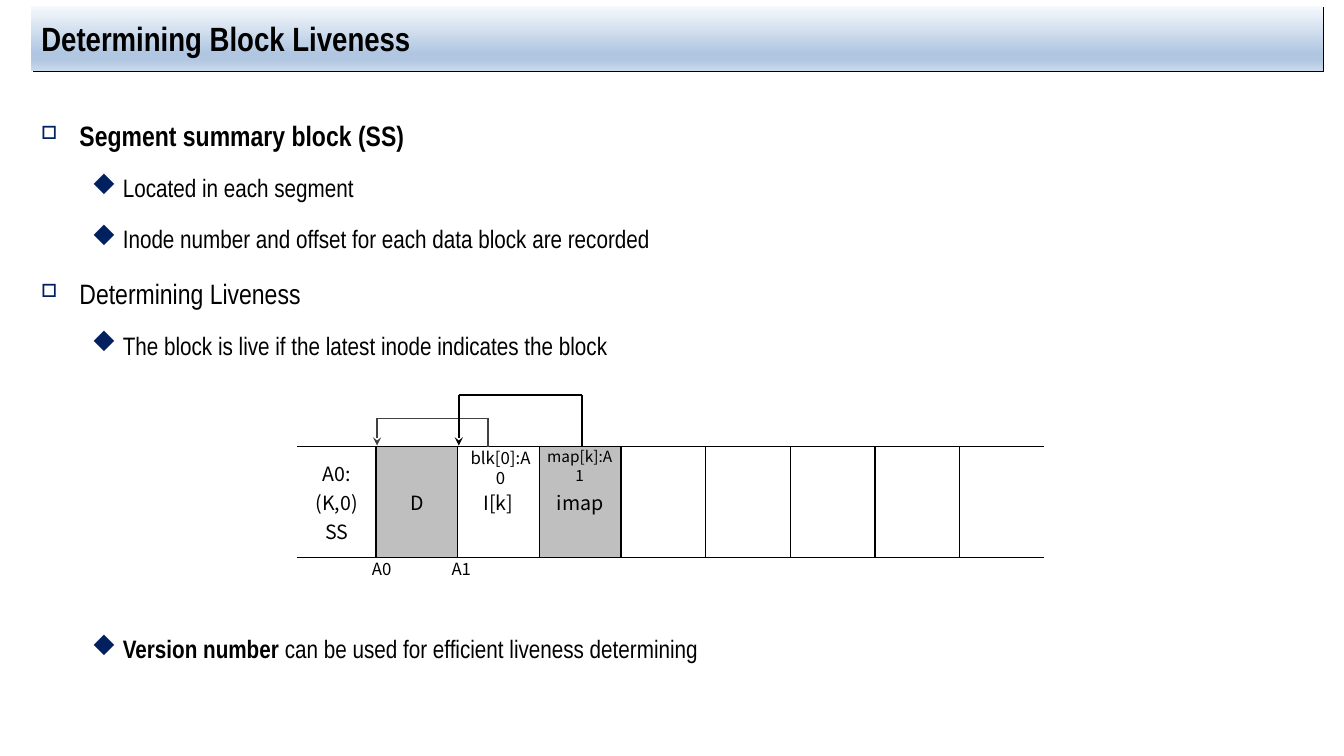
from pptx import Presentation
from pptx.dml.color import RGBColor
from pptx.enum import shapes, text
from pptx.oxml import parse_xml
from pptx.oxml.ns import nsdecls
from pptx.util import Inches, Pt

BLACK, GREY, WHITE, NAVY, DARK = "000000", "BFBFBF", "FFFFFF", "002060", "404040"
TITLE_STOPS = [(0, "F6F9FC"), (74, "B0C6E1"), (83, "B0C6E1"), (100, "CAD9EB")]
LEFT, WIDTH = 0.31, 12.81

# level, bold part, regular part, space before in points
OUTLINE = [
    (0, "Segment summary block (SS)", "", 0),
    (1, "", "Located in each segment", 3.6),
    (1, "", "Inode number and offset for each data block are recorded", 4.2),
    (0, "", "Determining Liveness", 4),
    (1, "", "The block is live if the latest inode indicates the block", 3.6),
    (1, "Version number", " can be used for efficient liveness determining", 184.5),
]
# size, indent, hanging, Wingdings letter (o is a square, u a diamond), bullet percent
LEVELS = [(20, 0.38, 0.38, "o", 65), (18, 0.81, 0.31, "u", 100)]

SEGMENT = ["A0:\n(K,0)\nSS", "D", "I[k]", "imap"] + [""] * 5
SEGMENT_WIDTHS = [0.78] + [0.81] * 3 + [0.84] * 5
# wording, left, top, width, size, wraps
LABELS = [
    ("A0", 3.58, 5.49, 0.41, 12, False),
    ("A1", 4.37, 5.49, 0.41, 12, False),
    ("blk[0]:A0", 4.53, 4.39, 0.87, 12, True),
    ("map[k]:A1", 5.3, 4.39, 0.9, 11, True),
]
# source x, target x, height of the bend, colour, line width
POINTERS = [(4.84, 3.74, 4.15, DARK, 1), (5.77, 4.55, 3.92, BLACK, 1.5)]
SEGMENT_TOP = 4.43


def rgb(value):
    return RGBColor.from_string(value)


def element(markup):
    """Turn one DrawingML element, written without namespaces, into XML."""
    name, rest = markup[1:].split(" ", 1)
    return parse_xml(f"<{name} {nsdecls('a')} {rest}")


class Page:
    """One slide with its typefaces."""

    outline_font = "Arial Narrow"
    diagram_font = "Noto Sans CJK KR"
    bullet_font = "Wingdings"

    def __init__(self, deck):
        self.slide = deck.slides.add_slide(deck.slide_layouts[5])

    def style(self, para, font, size, bold=False):
        for span in para.runs:
            span.font.name, span.font.size, span.font.bold = font, Pt(size), bold
            span.font.color.rgb = rgb(BLACK)

    def title(self, wording, top, height):
        box = self.slide.shapes.title
        box.left, box.top = Inches(LEFT), Inches(top)
        box.width, box.height = Inches(WIDTH), Inches(height)
        stops = "".join(
            f'<a:gs pos="{place * 1000}"><a:srgbClr val="{colour}"/></a:gs>'
            for place, colour in TITLE_STOPS)
        properties = box.element.spPr
        properties.append(element(
            f'<a:gradFill rotWithShape="1"><a:gsLst>{stops}</a:gsLst>'
            '<a:lin ang="5400000" scaled="0"/></a:gradFill>'))
        properties.append(element(
            '<a:effectLst ><a:outerShdw dist="17780" dir="2700000" algn="tl">'
            f'<a:srgbClr val="{BLACK}"/></a:outerShdw></a:effectLst>'))
        box.text_frame.text = wording
        box.text_frame.vertical_anchor = text.MSO_ANCHOR.MIDDLE
        para = box.text_frame.paragraphs[0]
        para.alignment = text.PP_ALIGN.LEFT
        self.style(para, self.outline_font, 24, True)

    def text_box(self, left, top, width, height, wraps=True):
        box = self.slide.shapes.add_textbox(
            Inches(left), Inches(top), Inches(width), Inches(height))
        box.text_frame.word_wrap = wraps
        return box.text_frame

    def outline(self, items, top, height):
        frame = self.text_box(LEFT, top, WIDTH, height)
        for number, (level, strong, plain, gap) in enumerate(items):
            para = frame.add_paragraph() if number else frame.paragraphs[0]
            size, indent, hanging, bullet, percent = LEVELS[level]
            properties = para._p.get_or_add_pPr()
            properties.set("marL", str(Inches(indent)))
            properties.set("indent", str(-Inches(hanging)))
            for markup in (f'<a:buClr ><a:srgbClr val="{NAVY}"/></a:buClr>',
                           f'<a:buSzPct val="{percent * 1000}"/>',
                           f'<a:buFont typeface="{self.bullet_font}" charset="2"/>',
                           f'<a:buChar char="{bullet}"/>'):
                properties.append(element(markup))
            para.level = level
            para.line_spacing = 1.5
            para.space_before = Pt(gap)
            for wording, bold in ((strong, True), (plain, False)):
                if wording:
                    span = para.add_run()
                    span.text = wording
                    span.font.bold = bold
            for span in para.runs:
                span.font.name, span.font.size = self.outline_font, Pt(size)
                span.font.color.rgb = rgb(BLACK)

    def borders(self, cell, hidden):
        """Draw black cell borders, leaving out the hidden sides."""
        properties = cell._tc.get_or_add_tcPr()
        for side in "LRTB":
            paint = ("<a:noFill/>" if side in hidden else
                     f'<a:solidFill><a:srgbClr val="{BLACK}"/></a:solidFill>')
            properties.append(element(f'<a:ln{side} w="12700">{paint}</a:ln{side}>'))

    def segment(self, wordings, widths, left, top, height):
        table = self.slide.shapes.add_table(
            1, len(widths), Inches(left), Inches(top),
            Inches(sum(widths)), Inches(height)).table
        table.first_row = table.horz_banding = False
        for number, (wording, width) in enumerate(zip(wordings, widths)):
            table.columns[number].width = Inches(width)
            cell = table.cell(0, number)
            self.borders(cell, {0: "L", len(widths) - 1: "R"}.get(number, ""))
            cell.fill.solid()
            cell.fill.fore_color.rgb = rgb(GREY if wording in ("D", "imap") else WHITE)
            cell.vertical_anchor = text.MSO_ANCHOR.MIDDLE
            cell.text_frame.text = wording
            for para in cell.text_frame.paragraphs:
                para.alignment = text.PP_ALIGN.CENTER
                self.style(para, self.diagram_font, 14)

    def label(self, wording, left, top, width, size, wraps):
        frame = self.text_box(left, top, width, 0.3, wraps)
        frame.text = wording
        frame.paragraphs[0].alignment = text.PP_ALIGN.CENTER
        self.style(frame.paragraphs[0], self.diagram_font, size)

    def line(self, start, end, colour, width, arrow=False):
        line = self.slide.shapes.add_connector(
            shapes.MSO_CONNECTOR.STRAIGHT, *map(Inches, start + end))
        line.line.color.rgb = rgb(colour)
        line.line.width = Pt(width)
        if arrow:
            line.line._get_or_add_ln().append(element('<a:tailEnd type="stealth"/>'))
        line._element.spPr.append(element("<a:effectLst />"))

    def pointer(self, source, target, bend, colour, width):
        """Lead up from a block, across, and down to an earlier block."""
        corners = [(source, SEGMENT_TOP), (source, bend),
                   (target, bend), (target, SEGMENT_TOP - 0.01)]
        for number in range(3):
            self.line(corners[number], corners[number + 1], colour, width, number == 2)


def main():
    deck = Presentation()
    deck.slide_width, deck.slide_height = Inches(13.33), Inches(7.5)
    page = Page(deck)
    page.title("Determining Block Liveness", 0.06, 0.64)
    page.outline(OUTLINE, 0.96, 6.02)
    page.segment(SEGMENT, SEGMENT_WIDTHS, 2.95, SEGMENT_TOP, 1.1)
    for label in LABELS:
        page.label(*label)
    for pointer in POINTERS:
        page.pointer(*pointer)
    deck.save("out.pptx")


if __name__ == "__main__":
    main()
